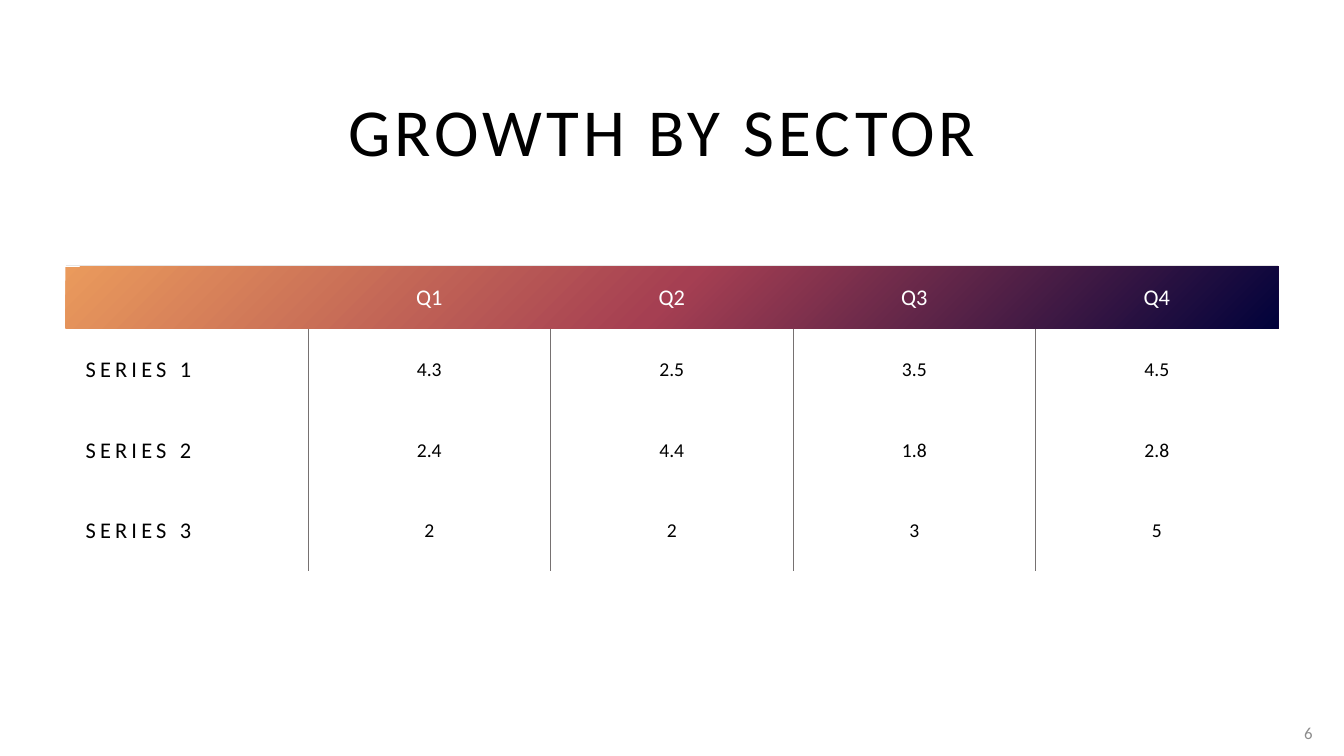
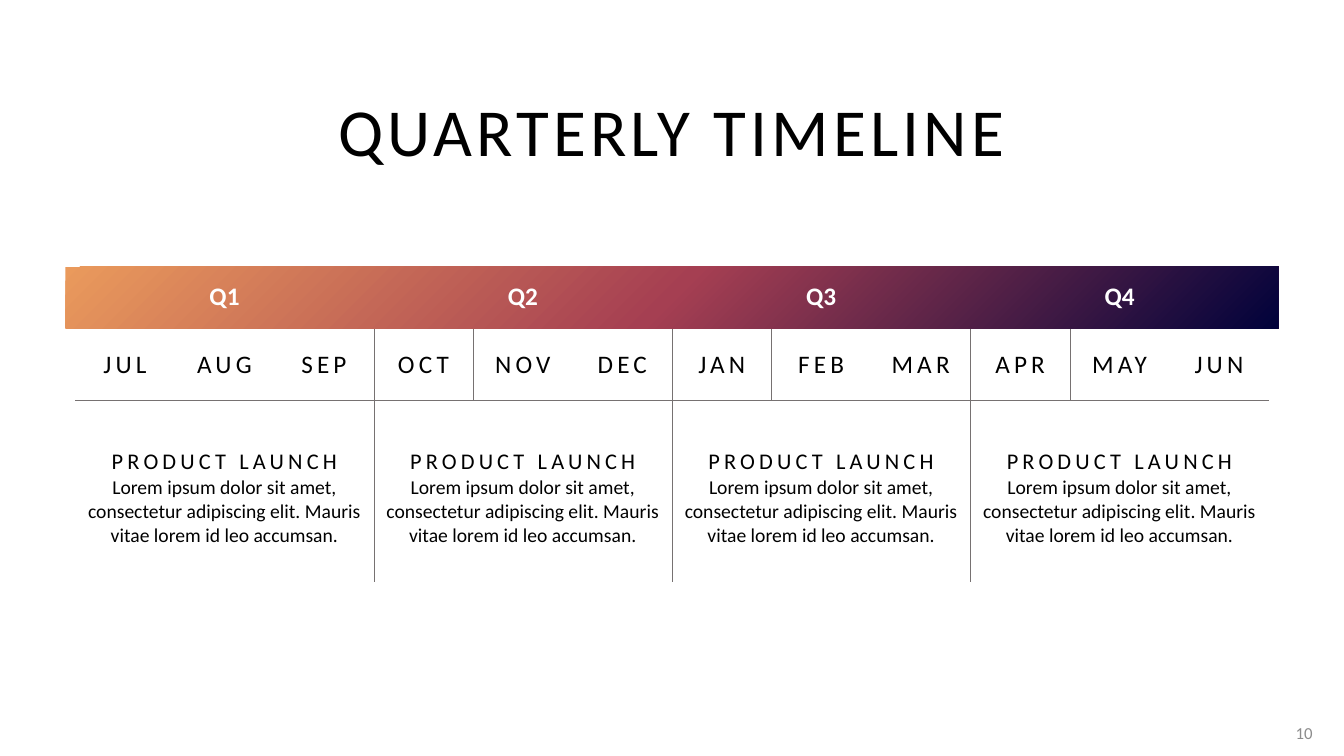
import dataclasses
import typing

import pptx
import pptx.dml.color
import pptx.enum.shapes
import pptx.enum.text
import pptx.oxml
import pptx.oxml.ns
import pptx.util

Pt = pptx.util.Pt
RGB = pptx.dml.color.RGBColor
ALIGN = pptx.enum.text.PP_ALIGN
MIDDLE = pptx.enum.text.MSO_ANCHOR.MIDDLE
NS = pptx.oxml.ns.nsdecls("a")


@dataclasses.dataclass(frozen=True)
class Theme:
    font: str = "Calibri"
    black: str = "000000"
    white: str = "FFFFFF"
    rule: str = "767171"
    edge: str = "E7E6E6"
    number: str = "8C8C8C"
    gradient: tuple[str, ...] = ("01023B", "A53F52", "EA9A5C")
    title_size: float = 48
    large: float = 18
    medium: float = 16
    small: float = 14
    number_size: float = 12
    tracking: float = 3
    no_grid: str = "{2D5ABB26-0587-4C30-8999-92F81FD0307C}"


THEME = Theme()


@dataclasses.dataclass(frozen=True)
class Box:
    left: float
    top: float
    width: float
    height: float

    def lengths(self) -> list[int]:
        return [Pt(v) for v in dataclasses.astuple(self)]


@dataclasses.dataclass(frozen=True)
class Style:
    size: float
    color: str = THEME.black
    bold: bool = False
    tracking: float = 0
    align: typing.Any = ALIGN.CENTER
    spacing: float = 1.0


@dataclasses.dataclass(frozen=True)
class Line:
    text: str
    style: Style


@dataclasses.dataclass(frozen=True)
class Entry:
    lines: tuple[Line, ...] = ()
    span: int = 1
    indent: float = 7.2


@dataclasses.dataclass(frozen=True)
class Border:
    side: str
    color: str
    width: float


TITLE = Style(THEME.title_size, tracking=THEME.tracking)
NUMBER = Style(THEME.number_size, THEME.number, align=ALIGN.RIGHT)
HEADER = Style(THEME.medium, THEME.white)
SERIES = Style(THEME.medium, tracking=THEME.tracking, align=ALIGN.LEFT)
BODY = Style(THEME.small)
QUARTER = Style(THEME.large, THEME.white, bold=True)
MONTH = Style(THEME.large, tracking=THEME.tracking)
EVENT = Style(THEME.medium, tracking=THEME.tracking, spacing=1.5)

TITLE_BOX = Box(46.8, 60.5, 866.2, 64.8)
BAND_BOX = Box(46.8, 190.5, 866.2, 44)
NUMBER_BOX = Box(909.4, 509, 35.3, 28.8)
TABLE_TOP = 189.5


def write(tf: typing.Any, lines: typing.Sequence[Line]) -> None:
    for i, line in enumerate(lines):
        style = line.style
        p = tf.paragraphs[0] if i == 0 else tf.add_paragraph()
        for name, value in {"alignment": style.align, "line_spacing": style.spacing}.items():
            setattr(p, name, value)
        r = p.add_run()
        r.text = line.text
        formats = {"name": THEME.font, "size": Pt(style.size), "bold": style.bold}
        for name, value in formats.items():
            setattr(r.font, name, value)
        r.font.color.rgb = RGB.from_string(style.color)
        r.font._element.set("spc", str(round(style.tracking * 100)))


def add_text(s: typing.Any, box: Box, line: Line) -> None:
    tf = s.shapes.add_textbox(*box.lengths()).text_frame
    for name, value in {"word_wrap": True, "vertical_anchor": MIDDLE}.items():
        setattr(tf, name, value)
    write(tf, [line])


def add_band(s: typing.Any) -> None:
    sp = s.shapes.add_shape(pptx.enum.shapes.MSO_SHAPE.RECTANGLE, *BAND_BOX.lengths())
    sp.shadow.inherit = False
    sp.line.fill.background()
    stops = "".join(
        f'<a:gs pos="{i * 50000}"><a:srgbClr val="{color}"/></a:gs>'
        for i, color in enumerate(THEME.gradient)
    )
    fill = pptx.oxml.parse_xml(
        f'<a:gradFill {NS} rotWithShape="1"><a:gsLst>{stops}</a:gsLst>'
        '<a:path path="circle"><a:fillToRect l="100000" t="100000"/></a:path></a:gradFill>'
    )
    sp._element.spPr.find(pptx.oxml.ns.qn("a:prstGeom")).addnext(fill)


def add_borders(cell: typing.Any, borders: typing.Sequence[Border]) -> None:
    tc_pr = cell._tc.get_or_add_tcPr()
    for i, border in enumerate(sorted(borders, key=lambda b: "LRTB".index(b.side))):
        ln = pptx.oxml.parse_xml(
            f'<a:ln{border.side} {NS} w="{Pt(border.width)}"><a:solidFill>'
            f'<a:srgbClr val="{border.color}"/></a:solidFill></a:ln{border.side}>'
        )
        tc_pr.insert(i, ln)


def add_grid(
    s: typing.Any,
    left: float,
    column: float,
    heights: typing.Sequence[float],
    rows: typing.Sequence[typing.Sequence[Entry]],
    borders: typing.Callable[[int, int], list[Border]],
) -> None:
    count = sum(entry.span for entry in rows[0])
    box = Box(left, TABLE_TOP, column * count, sum(heights))
    table = s.shapes.add_table(len(rows), count, *box.lengths()).table
    table._tbl.tblPr.find(pptx.oxml.ns.qn("a:tableStyleId")).text = THEME.no_grid
    table.horz_banding = False
    for col in table.columns:
        col.width = Pt(column)
    for i, (height, entries) in enumerate(zip(heights, rows)):
        table.rows[i].height = Pt(height)
        for j in range(count):
            cell = table.cell(i, j)
            cell.fill.background()
            add_borders(cell, borders(i, j))
        j = 0
        for entry in entries:
            cell = table.cell(i, j)
            if entry.span > 1:
                cell.merge(table.cell(i, j + entry.span - 1))
            for name, value in {"vertical_anchor": MIDDLE, "margin_left": Pt(entry.indent)}.items():
                setattr(cell, name, value)
            write(cell.text_frame, entry.lines)
            j += entry.span


def dividers(row: int, col: int, count: int, step: int) -> list[Border]:
    if row == 0:
        return []
    sides = []
    if col and col % step == 0:
        sides.append("L")
    if col < count - 1 and (col + 1) % step == 0:
        sides.append("R")
    return [Border(side, THEME.rule, 0.25) for side in sides]


def sector_borders(row: int, col: int) -> list[Border]:
    if row == 0:
        return [Border("T", THEME.edge, 0.5)]
    return dividers(row, col, 5, 1)


def timeline_borders(row: int, col: int) -> list[Border]:
    level = {1: "B", 2: "T"}.get(row)
    across = [Border(level, THEME.rule, 0.25)] if level else []
    return dividers(row, col, 12, 3) + across


def cells(texts: typing.Iterable[str], style: Style, span: int = 1) -> list[Entry]:
    return [Entry((Line(text, style),), span) for text in texts]


def add_slide(prs: typing.Any, title: str, number: str) -> typing.Any:
    s = prs.slides.add_slide(prs.slide_layouts[6])
    add_band(s)
    add_text(s, TITLE_BOX, Line(title, TITLE))
    add_text(s, NUMBER_BOX, Line(number, NUMBER))
    return s


QUARTERS = ("Q1", "Q2", "Q3", "Q4")
GROWTH = {
    "SERIES 1": ("4.3", "2.5", "3.5", "4.5"),
    "SERIES 2": ("2.4", "4.4", "1.8", "2.8"),
    "SERIES 3": ("2", "2", "3", "5"),
}
MONTHS = "JUL AUG SEP OCT NOV DEC JAN FEB MAR APR MAY JUN".split()
LAUNCH = (
    Line("PRODUCT LAUNCH", EVENT),
    Line(
        "Lorem ipsum dolor sit amet, consectetur adipiscing elit. "
        "Mauris vitae lorem id leo accumsan.",
        BODY,
    ),
)


def add_sector_slide(prs: typing.Any) -> None:
    s = add_slide(prs, "GROWTH BY SECTOR ", "6")
    rows = [[Entry()] + cells(QUARTERS, HEADER)]
    for name, values in GROWTH.items():
        rows.append([Entry((Line(name, SERIES),), indent=14.4)] + cells(values, BODY))
    add_grid(s, 46.8, 173.25, (45.8, 57.6, 57.6, 57.6), rows, sector_borders)


def add_timeline_slide(prs: typing.Any) -> None:
    s = add_slide(prs, "QUARTERLY TIMELINE", "10")
    rows = [
        cells(QUARTERS, QUARTER, span=3),
        cells(MONTHS, MONTH),
        [Entry(LAUNCH, span=3) for _ in QUARTERS],
    ]
    add_grid(s, 53.8, 71.04, (45.8, 50.7, 129.6), rows, timeline_borders)


def main() -> None:
    prs = pptx.Presentation()
    for name, value in {"slide_width": Pt(960), "slide_height": Pt(540)}.items():
        setattr(prs, name, value)
    add_sector_slide(prs)
    add_timeline_slide(prs)
    prs.save("out.pptx")


main()
